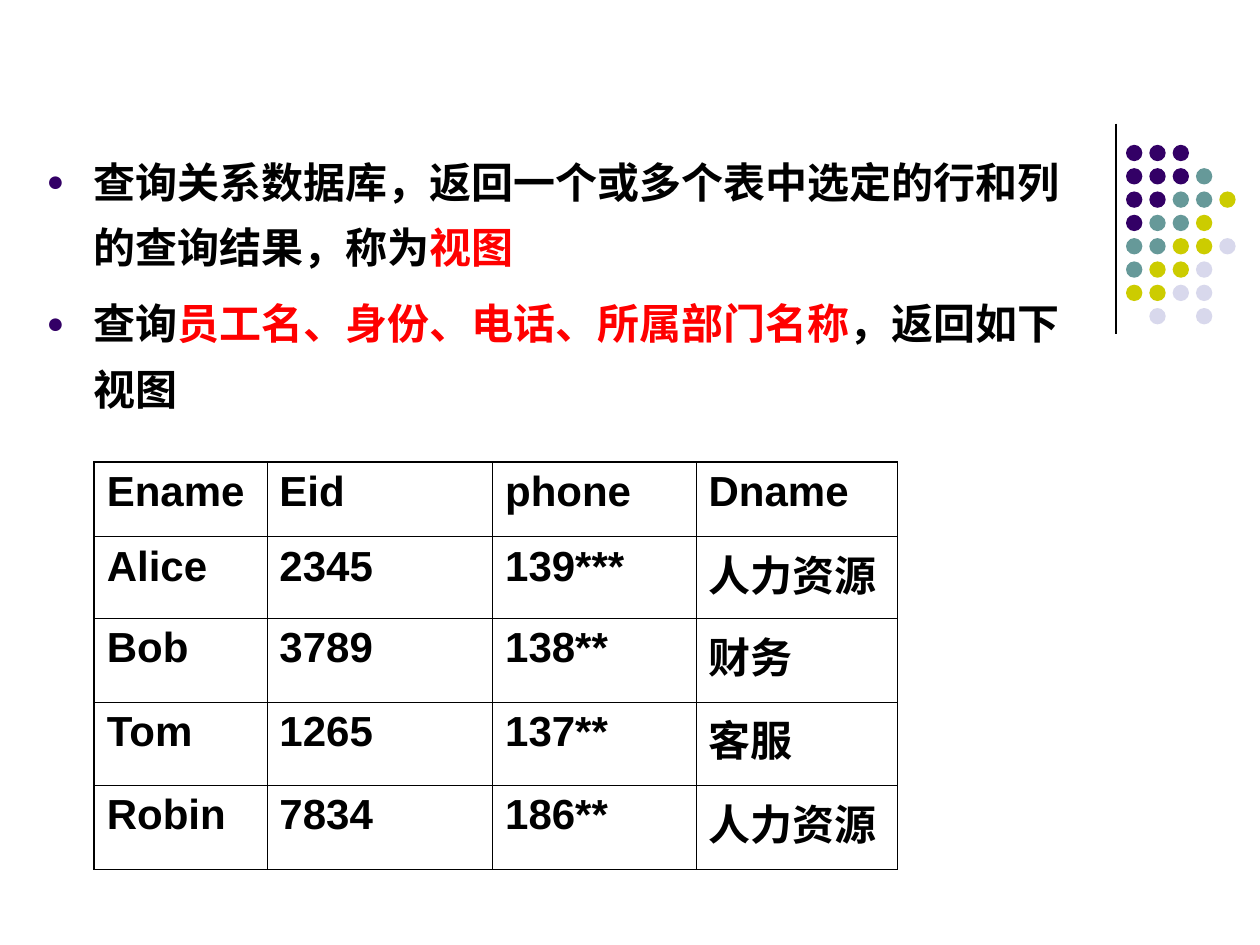
from lxml.etree import SubElement
from pptx import Presentation
from pptx.dml.color import RGBColor
from pptx.enum.shapes import MSO_CONNECTOR, MSO_SHAPE
from pptx.oxml.ns import qn
from pptx.util import Cm, Pt

BLACK = RGBColor(0x00, 0x00, 0x00)
RED = RGBColor(0xFF, 0x00, 0x00)
PURPLE = RGBColor(0x33, 0x00, 0x66)
TEAL = RGBColor(0x66, 0x99, 0x99)
OLIVE = RGBColor(0xCC, 0xCC, 0x00)
LAVENDER = RGBColor(0xD8, 0xD8, 0xEC)

DOT_COLORS = {"P": PURPLE, "T": TEAL, "O": OLIVE, "L": LAVENDER}
DOT_ROWS = ["PPP", "PPPT", "PPTTO", "PTTO", "TTOOL", "TOOL", "OOLL", " L L"]
DOT_STEP = 0.47
DOT_SIZE = Cm(0.33)

POINTS = [
    [("查询关系数据库，返回一个或多个表中选定的行和列的查询结果，称为", BLACK),
     ("视图", RED)],
    [("查询", BLACK),
     ("员工名、身份、电话、所属部门名称", RED),
     ("，返回如下视图", BLACK)],
]

EMPLOYEES = [
    ["Ename", "Eid", "phone"],
    ["Alice", "2345", "139***"],
    ["Bob", "3789", "138**"],
    ["Tom", "1265", "137**"],
    ["Robin", "7834", "186**"],
]
DEPARTMENTS = [["Dname"], ["人力资源"], ["财务"], ["客服"], ["人力资源"]]
ROW_HEIGHTS = [1.5, 1.65, 1.68, 1.68, 1.7]
TABLE_TOP = 9.32
THIN, THICK = Pt(0.45), Pt(1.08)


def add_span(para, text, color=BLACK, size=24, bold=True, font="Arial"):
    span = para.add_run()
    span.text = text
    span.font.name = font
    span.font.size = Pt(size)
    span.font.bold = bold
    span.font.color.rgb = color


def add_bullet(para, color, percent):
    """Give the paragraph a round bullet with a hanging indent."""
    props = para._p.get_or_add_pPr()
    props.set("marL", str(Cm(0.95)))
    props.set("indent", str(Cm(-0.95)))
    bullet_color = SubElement(props, qn("a:buClr"))
    SubElement(bullet_color, qn("a:srgbClr"), val=str(color))
    SubElement(props, qn("a:buSzPct"), val=str(percent * 1000))
    SubElement(props, qn("a:buFont"), typeface="Arial")
    SubElement(props, qn("a:buChar"), char="●")


def add_points(slide):
    box = slide.shapes.add_textbox(Cm(0.69), Cm(2.72), Cm(21.21), Cm(7.75))
    frame = box.text_frame
    frame.word_wrap = True
    for index, point in enumerate(POINTS):
        para = frame.add_paragraph() if index else frame.paragraphs[0]
        para.line_spacing = 1.3
        para.space_before = Pt(6)
        add_bullet(para, PURPLE, 70)
        for text, color in point:
            add_span(para, text, color=color)


def add_divider(slide):
    line = slide.shapes.add_connector(
        MSO_CONNECTOR.STRAIGHT, Cm(22.5), Cm(2.49), Cm(22.5), Cm(6.73))
    line.line.color.rgb = BLACK
    line.line.width = Pt(0.75)
    SubElement(line._element.spPr, qn("a:effectLst"))


def add_dots(slide):
    group = slide.shapes.add_group_shape()
    for row, codes in enumerate(DOT_ROWS):
        for col, code in enumerate(codes):
            if code == " ":
                continue
            dot = group.shapes.add_shape(
                MSO_SHAPE.OVAL, Cm(22.7 + col * DOT_STEP),
                Cm(2.92 + row * DOT_STEP), DOT_SIZE, DOT_SIZE)
            dot.shadow.inherit = False
            dot.fill.solid()
            dot.fill.fore_color.rgb = DOT_COLORS[code]
            dot.line.fill.background()


def set_borders(cell, **widths):
    """Draw black cell borders; keys are L, R, T and B."""
    props = cell._tc.get_or_add_tcPr()
    for side, width in widths.items():
        border = SubElement(props, qn(f"a:ln{side}"), w=str(width))
        fill = SubElement(border, qn("a:solidFill"))
        SubElement(fill, qn("a:srgbClr"), val=str(BLACK))


def add_grid(slide, left, widths, rows, side_width):
    """Add a table with thick top and bottom edges and thin inner lines."""
    last_row, last_col = len(rows) - 1, len(widths) - 1
    table = slide.shapes.add_table(
        len(rows), len(widths), Cm(left), Cm(TABLE_TOP),
        Cm(sum(widths)), Cm(sum(ROW_HEIGHTS))).table
    table.first_row = False
    table.horz_banding = False
    for column, width in zip(table.columns, widths):
        column.width = Cm(width)
    for row, (values, height) in enumerate(zip(rows, ROW_HEIGHTS)):
        table.rows[row].height = Cm(height)
        for col, value in enumerate(values):
            cell = table.cell(row, col)
            set_borders(
                cell,
                L=side_width if col == 0 else THIN,
                R=side_width if col == last_col else THIN,
                T=THICK if row == 0 else THIN,
                B=THICK if row == last_row else THIN)
            cell.fill.background()
            para = cell.text_frame.paragraphs[0]
            para.space_before = Pt(6)
            add_span(para, value)


def main():
    deck = Presentation()
    deck.slide_width, deck.slide_height = Cm(25.4), Cm(19.05)
    slide = deck.slides.add_slide(deck.slide_layouts[6])
    add_divider(slide)
    add_dots(slide)
    add_points(slide)
    add_grid(slide, 1.9, [3.48, 4.55, 4.11], EMPLOYEES, THICK)
    add_grid(slide, 14.03, [4.06], DEPARTMENTS, THIN)
    deck.save("out.pptx")


if __name__ == "__main__":
    main()
